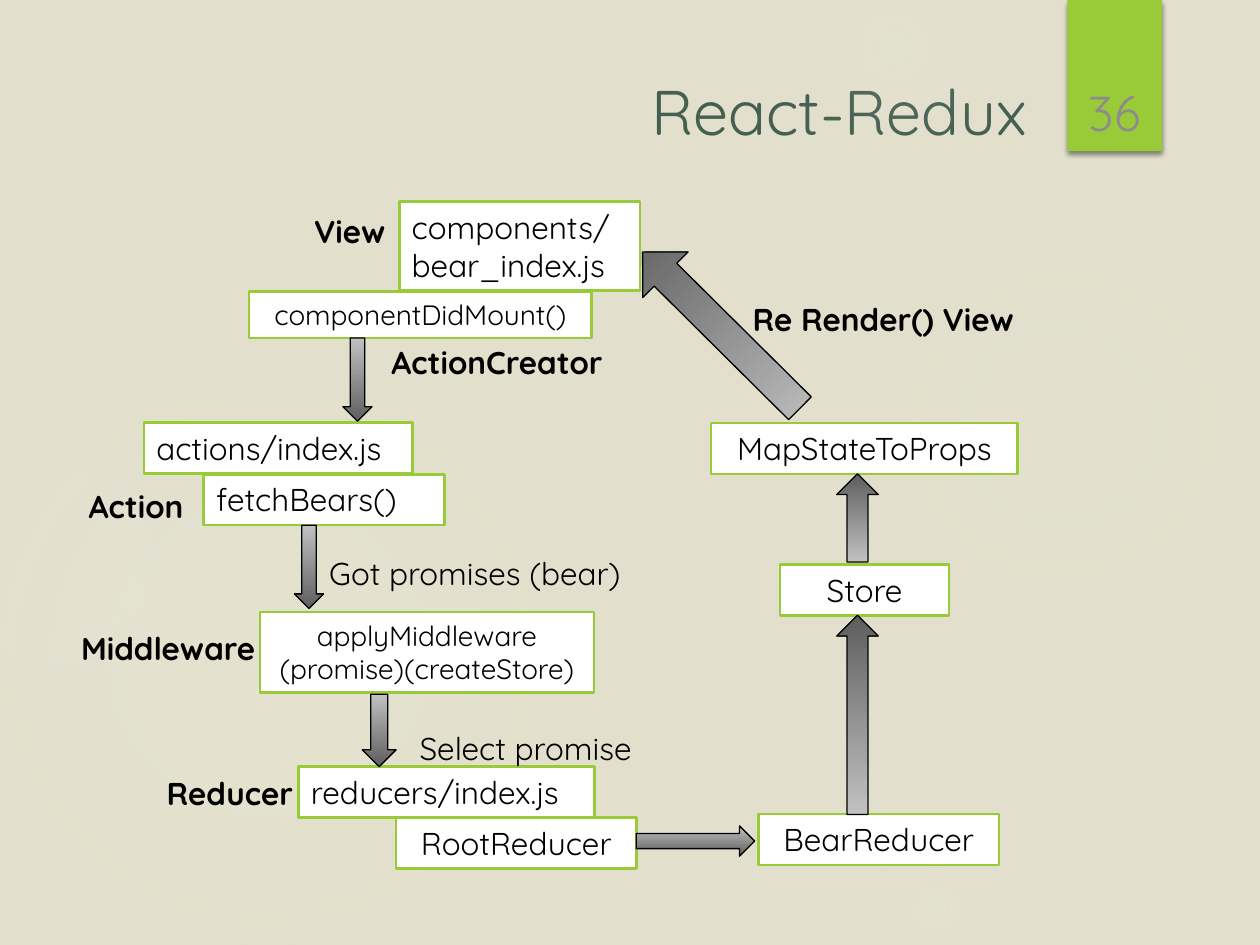
from lxml import etree
from pptx import Presentation
from pptx.dml.color import RGBColor
from pptx.enum.shapes import MSO_SHAPE
from pptx.enum.text import MSO_ANCHOR, MSO_AUTO_SIZE, PP_ALIGN
from pptx.oxml import parse_xml
from pptx.oxml.ns import nsdecls, qn
from pptx.util import Pt

RECT, OVAL = MSO_SHAPE.RECTANGLE, MSO_SHAPE.OVAL
DOWN, RIGHTWARD = MSO_SHAPE.DOWN_ARROW, MSO_SHAPE.RIGHT_ARROW
LEFT, CENTER, RIGHT = PP_ALIGN.LEFT, PP_ALIGN.CENTER, PP_ALIGN.RIGHT
MIDDLE, GROW, FIXED = MSO_ANCHOR.MIDDLE, MSO_AUTO_SIZE.SHAPE_TO_FIT_TEXT, MSO_AUTO_SIZE.NONE

FONT = "Quicksand"
SAND = RGBColor(0xE2, 0xDF, 0xCC)
GREEN = RGBColor(0x99, 0xCB, 0x38)
TEAL = RGBColor(0x45, 0x5F, 0x51)
GRAY = RGBColor(0x8C, 0x8C, 0x8C)
LIGHT_GRAY = RGBColor(0xC1, 0xC1, 0xC1)
DARK_GRAY = RGBColor(0x5E, 0x5E, 0x5E)
CREAM = RGBColor(0xF3, 0xF2, 0xEB)
WHITE = RGBColor(0xFF, 0xFF, 0xFF)
BLACK = RGBColor(0, 0, 0)

# left, top, diameter, then (position %, opacity %) stops
GLOWS = [
    (496, 132, 222, [(0, 7), (36, 6), (69, 0)]),
    (448, -36, 126, [(0, 14), (36, 7), (73, 0)]),
    (496, 480, 78, [(0, 14), (36, 7), (66, 0)]),
    (-12, 210, 330, [(0, 11), (36, 10), (75, 0)]),
    (-66, 228, 186, [(0, 8), (36, 8), (72, 0)]),
]

# lines, left, top, width, height, alignment, size
STEPS = [
    (["components/", "bear_index.js"], 228.2, 115.2, 137.5, 50.9, LEFT, 18),
    (["componentDidMount()"], 142.3, 166.6, 195.8, 26.7, CENTER, 16),
    (["fetchBears()"], 116.4, 271, 137.5, 29.1, LEFT, 18),
    (["RootReducer"], 226.3, 467.3, 137.5, 29.1, CENTER, 18),
    (["reducers/index.js"], 170.6, 438, 169.3, 29.1, LEFT, 18),
    (["actions/index.js"], 82.3, 241.4, 153.4, 29.1, LEFT, 18),
    (["BearReducer"], 433.4, 465.2, 137.5, 29.1, CENTER, 18),
    (["Store"], 445.8, 322.6, 96.5, 29.1, CENTER, 18),
    (["MapStateToProps"], 406.4, 241.7, 175, 29.1, CENTER, 18),
    (["applyMiddleware", "(promise)(createStore)"], 148.5, 349.8, 191, 46, CENTER, 16),
]

# text, left, top, width, alignment, bold
LABELS = [
    ("View", 172.4, 117.7, 77, LEFT, True),
    ("ActionCreator", 216.6, 192.5, 146.2, LEFT, True),
    ("Action", 43.6, 275, 77, LEFT, True),
    ("Middleware", 36, 355.6, 120.2, CENTER, True),
    ("Reducer", 71.3, 438.5, 120.2, CENTER, True),
    ("Re Render() View", 415.4, 168.1, 178.6, CENTER, True),
    ("Got promises (bear)", 173.5, 312.8, 195.8, CENTER, False),
    ("Select promise", 211, 413.3, 178.6, CENTER, False),
]

# preset, left, top, width, height, rotation
ARROWS = [
    (DOWN, 196, 193.2, 16.6, 47.5, 0),
    (DOWN, 168.3, 300.2, 16.6, 47.5, 0),
    (DOWN, 207, 396.7, 19.4, 41.4, 0),
    (RIGHTWARD, 363.6, 472, 67.7, 17.3, 0),
    (DOWN, 478.1, 351.6, 23.8, 113.8, 180),
    (DOWN, 478.1, 270.7, 23.8, 50.4, 180),
    (DOWN, 393.8, 125.3, 36.7, 126.7, 134.8),
]


def write(frame, lines, size, color, align, bold=False):
    frame.word_wrap = True
    for index, line in enumerate(lines):
        paragraph = frame.paragraphs[0] if index == 0 else frame.add_paragraph()
        paragraph.alignment = align
        run = paragraph.add_run()
        run.text = line
        font = run.font
        font.name, font.size, font.bold = FONT, Pt(size), bold
        font.color.rgb = color


def add_plain_shape(slide, preset, left, top, width, height):
    shape = slide.shapes.add_shape(preset, Pt(left), Pt(top), Pt(width), Pt(height))
    shape.shadow.inherit = False
    return shape


def add_glow(slide, left, top, diameter, stops):
    """Draw a circle whose colour fades out from its centre."""
    glow = add_plain_shape(slide, OVAL, left, top, diameter, diameter)
    glow.line.fill.background()
    glow.fill.gradient()
    stop_xml = "".join(
        f'<a:gs pos="{position * 1000}"><a:srgbClr val="{CREAM}">'
        f'<a:alpha val="{opacity * 1000}"/></a:srgbClr></a:gs>'
        for position, opacity in stops
    )
    radial = parse_xml(
        f'<a:gradFill {nsdecls("a")}><a:gsLst>{stop_xml}</a:gsLst><a:path path="circle">'
        '<a:fillToRect l="50000" t="50000" r="50000" b="50000"/></a:path></a:gradFill>'
    )
    properties = glow.element.spPr
    properties.replace(properties.find(qn("a:gradFill")), radial)


def add_page_tab(slide, number):
    tab = add_plain_shape(slide, RECT, 610, 0, 54, 86.4)
    tab.fill.solid()
    tab.fill.fore_color.rgb = GREEN
    tab.line.fill.background()
    effects = tab.element.spPr.find(qn("a:effectLst"))
    shadow = etree.SubElement(effects, qn("a:outerShdw"), blurRad=str(Pt(3)),
                              dist=str(Pt(2)), dir="5400000", rotWithShape="0")
    shade = etree.SubElement(shadow, qn("a:srgbClr"), val=str(BLACK))
    etree.SubElement(shade, qn("a:alpha"), val="45000")

    page = slide.shapes.add_textbox(Pt(610), Pt(42), Pt(54), Pt(44))
    page.text_frame.vertical_anchor = MIDDLE
    write(page.text_frame, [number], 28, GRAY, CENTER)


def place_title(slide, text):
    title = slide.shapes.title
    title.left, title.top, title.width, title.height = Pt(38), Pt(36), Pt(556), Pt(54)
    frame = title.text_frame
    frame.auto_size, frame.vertical_anchor = FIXED, MIDDLE
    write(frame, [text], 36, TEAL, RIGHT)


def add_step(slide, lines, left, top, width, height, align, size):
    step = add_plain_shape(slide, RECT, left, top, width, height)
    step.fill.solid()
    step.fill.fore_color.rgb = WHITE
    step.line.color.rgb = GREEN
    step.line.width = Pt(1.5)
    step.text_frame.auto_size = GROW
    step.text_frame.vertical_anchor = MSO_ANCHOR.TOP
    write(step.text_frame, lines, size, BLACK, align)


def add_label(slide, text, left, top, width, align, bold):
    label = slide.shapes.add_textbox(Pt(left), Pt(top), Pt(width), Pt(29.1))
    label.text_frame.auto_size = GROW
    write(label.text_frame, [text], 18, BLACK, align, bold)


def add_arrow(slide, preset, left, top, width, height, rotation):
    arrow = add_plain_shape(slide, preset, left, top, width, height)
    arrow.rotation = rotation
    arrow.fill.gradient()
    arrow.fill.gradient_angle = 270
    for stop, color in zip(arrow.fill.gradient_stops, (LIGHT_GRAY, DARK_GRAY)):
        stop.color.rgb = color
    arrow.line.color.rgb = BLACK
    arrow.line.width = Pt(0.75)


def main():
    deck = Presentation()
    deck.slide_width, deck.slide_height = Pt(720), Pt(540)
    slide = deck.slides.add_slide(deck.slide_layouts[5])
    slide.background.fill.solid()
    slide.background.fill.fore_color.rgb = SAND

    for glow in GLOWS:
        add_glow(slide, *glow)
    add_page_tab(slide, "36")
    place_title(slide, "React-Redux")
    for step in STEPS:
        add_step(slide, *step)
    for arrow in ARROWS:
        add_arrow(slide, *arrow)
    for label in LABELS:
        add_label(slide, *label)

    deck.save("out.pptx")


if __name__ == "__main__":
    main()
